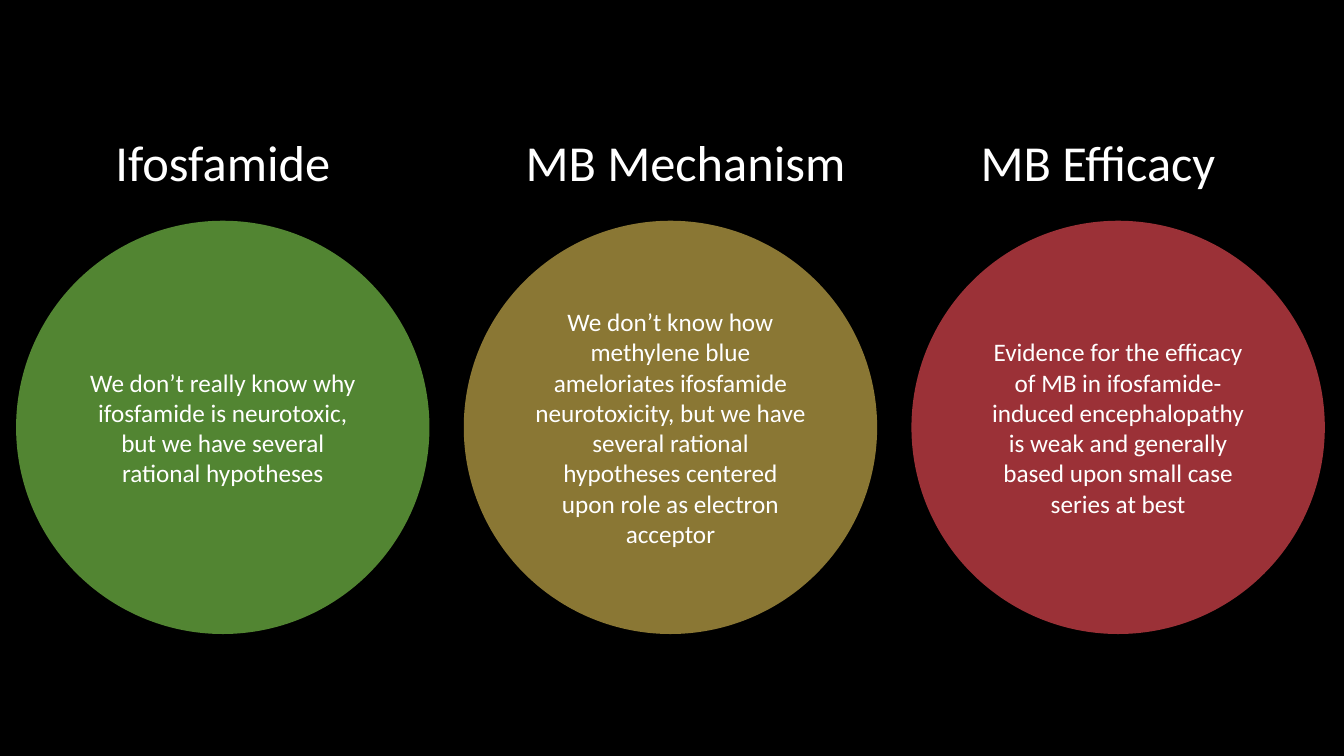
import pptx
import pptx.dml.color
import pptx.enum.shapes
import pptx.enum.text
import pptx.util
from pptx.util import Inches

COLOURS = {
    "background": "000000",
    "text": "FFFFFF",
    "green": "528532",
    "gold": "8A7734",
    "red": "9B3137",
}
DIAMETER = 4.1
FIRST_LEFT = 0.16
PITCH = 4.44

TOPICS = [
    ("Ifosfamide", 0.9, 2.62, "green",
     "We don’t really know why ifosfamide is neurotoxic, "
     "but we have several rational hypotheses"),
    ("MB Mechanism", 4.93, 3.74, "gold",
     "We don’t know how methylene blue ameloriates ifosfamide neurotoxicity, "
     "but we have several rational hypotheses centered upon role as electron acceptor"),
    ("MB Efficacy", 9.48, 2.82, "red",
     "Evidence for the efficacy of MB in ifosfamide-induced encephalopathy "
     "is weak and generally based upon small case series at best"),
]


def paint(fill, colour):
    """Apply a solid colour from the palette."""
    fill.solid()
    fill.fore_color.rgb = pptx.dml.color.RGBColor.from_string(COLOURS[colour])


def write(frame, text, size, wrap=True, anchor=pptx.enum.text.MSO_ANCHOR.MIDDLE):
    """Write one centred paragraph into a text frame."""
    frame.word_wrap = wrap
    frame.vertical_anchor = anchor
    paragraph = frame.paragraphs[0]
    paragraph.alignment = pptx.enum.text.PP_ALIGN.CENTER
    run = paragraph.add_run()
    run.text = text
    run.font.name = "Calibri"
    run.font.size = pptx.util.Pt(size)
    run.font.color.rgb = pptx.dml.color.RGBColor.from_string(COLOURS["text"])


def add_verdict(slide, left, colour, text):
    """Draw a filled circle holding the verdict on a topic."""
    verdict = slide.shapes.add_shape(
        pptx.enum.shapes.MSO_SHAPE.OVAL,
        Inches(left), Inches(2.19), Inches(DIAMETER), Inches(DIAMETER))
    verdict.shadow.inherit = False
    paint(verdict.fill, colour)
    verdict.line.fill.background()
    write(verdict.text_frame, text, size=18)


def add_heading(slide, left, width, text):
    """Place a topic heading above its circle."""
    heading = slide.shapes.add_textbox(
        Inches(left), Inches(1.25), Inches(width), Inches(0.71))
    write(heading.text_frame, text, size=36, wrap=False,
          anchor=pptx.enum.text.MSO_ANCHOR.TOP)
    heading.text_frame.auto_size = pptx.enum.text.MSO_AUTO_SIZE.SHAPE_TO_FIT_TEXT


def main():
    """Build and save the slide."""
    deck = pptx.Presentation()
    deck.slide_width = Inches(13.33)
    deck.slide_height = Inches(7.5)
    slide = deck.slides.add_slide(deck.slide_layouts[6])
    paint(slide.background.fill, "background")
    for index, (title, title_left, title_width, colour, verdict) in enumerate(TOPICS):
        add_verdict(slide, FIRST_LEFT + index * PITCH, colour, verdict)
        add_heading(slide, title_left, title_width, title)
    deck.save("out.pptx")


if __name__ == "__main__":
    main()
